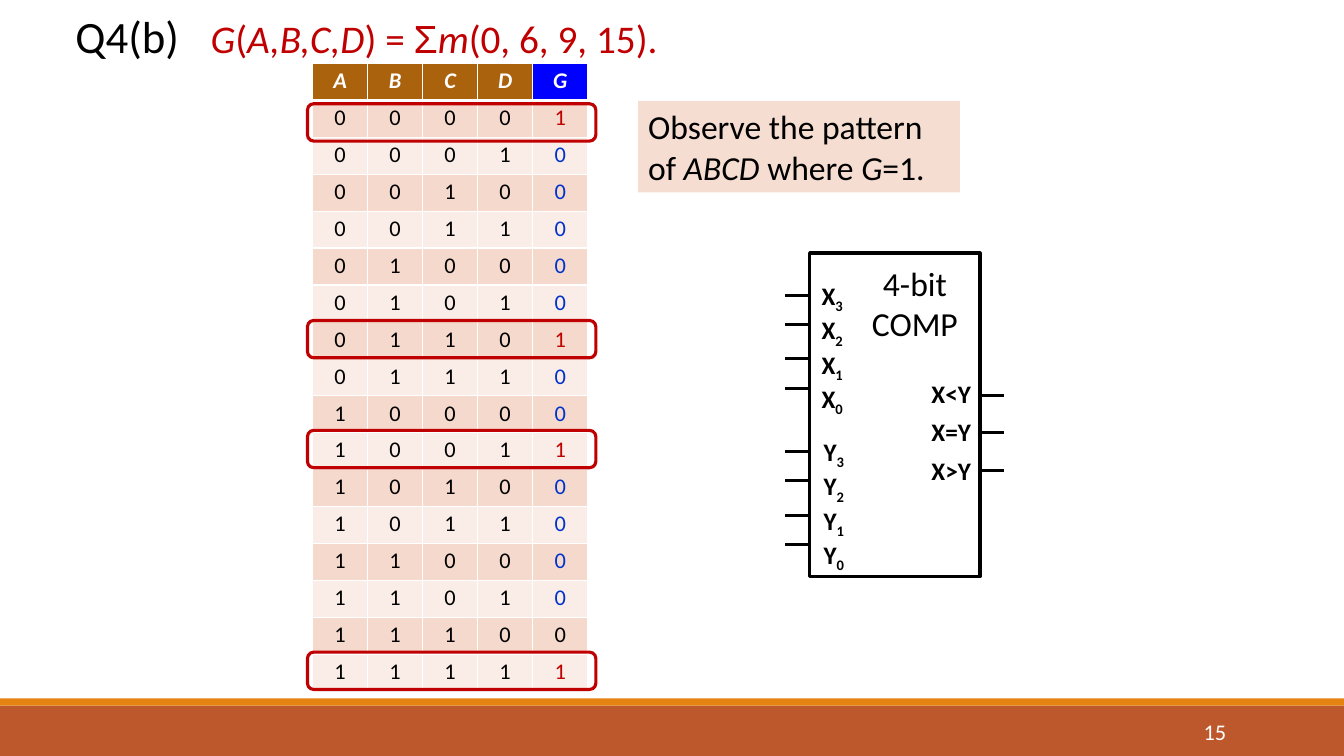
from dataclasses import dataclass

from lxml import etree
from pptx import Presentation
from pptx import util as u
from pptx.dml.color import RGBColor
from pptx.enum import shapes, text
from pptx.oxml import ns


@dataclass(frozen=True)
class Theme:
    font: str = "Calibri"
    symbol_font: str = "Arial"
    black: str = "000000"
    white: str = "FFFFFF"
    red: str = "C00000"
    blue: str = "0033CC"
    header: str = "AB620D"
    output_header: str = "0000FF"
    band_dark: str = "F5D9CC"
    band_light: str = "FAEDE7"
    note: str = "F5DDD2"
    footer: str = "BD582C"
    footer_edge: str = "E48312"
    title_size: int = 32
    formula_size: int = 28
    body_size: int = 24
    pin_size: int = 18
    small_size: int = 16
    stroke: float = 2.25


THEME = Theme()
MINTERMS = (0, 6, 9, 15)
VARIABLES = "ABCD"


def colour(value):
    return RGBColor.from_string(value)


def place(left, top, width, height):
    return [u.Inches(length) for length in (left, top, width, height)]


def style(span, size, ink=THEME.black, bold=False, italic=False, font=THEME.font):
    span.font.size = u.Pt(size)
    span.font.name = font
    span.font.bold = bold
    span.font.italic = italic
    span.font.color.rgb = colour(ink)


def write(frame, lines, size, ink=THEME.black, bold=False, align="LEFT", after=0):
    """Each line is a list of (words, mark); marks: i italic, s symbol, _ subscript."""
    frame.word_wrap = True
    for index, line in enumerate(lines):
        para = frame.add_paragraph() if index else frame.paragraphs[0]
        para.alignment = getattr(text.PP_ALIGN, align)
        para.space_after = u.Pt(after)
        for words, mark in line:
            span = para.add_run()
            span.text = words
            font = THEME.symbol_font if mark == "s" else THEME.font
            style(span, size, ink, bold, mark == "i", font)
            if mark == "_":
                span._r.get_or_add_rPr().set("baseline", "-25000")
    return frame


def add_text(parent, area, lines, size, **look):
    box = parent.add_textbox(*place(*area))
    return write(box.text_frame, lines, size, **look)


def add_box(parent, area, fill=None, line=None, kind="RECTANGLE"):
    box = parent.add_shape(getattr(shapes.MSO_SHAPE, kind), *place(*area))
    box.shadow.inherit = False
    if fill:
        box.fill.solid()
        box.fill.fore_color.rgb = colour(fill)
    else:
        box.fill.background()
    if line:
        box.line.color.rgb = colour(line)
        box.line.width = u.Pt(THEME.stroke)
    else:
        box.line.fill.background()
    return box


def add_pin(parent, left, right, top):
    pin = parent.add_connector(shapes.MSO_CONNECTOR.STRAIGHT, u.Inches(left),
                               u.Inches(top), u.Inches(right), u.Inches(top))
    pin.line.color.rgb = colour(THEME.black)
    pin.line.width = u.Pt(THEME.stroke)
    etree.SubElement(pin._element.spPr, ns.qn("a:effectLst"))


def set_borders(cell, bottom):
    properties = cell._tc.get_or_add_tcPr()
    for index, (side, width) in enumerate(zip("LRTB", (1, 1, 1, bottom))):
        edge = etree.Element(ns.qn(f"a:ln{side}"), w=str(u.Pt(width)))
        fill = etree.SubElement(edge, ns.qn("a:solidFill"))
        etree.SubElement(fill, ns.qn("a:srgbClr"), val=THEME.white)
        properties.insert(index, edge)


def fill_cell(cell, words, fill, ink, heading=False):
    cell.text_frame.text = words
    cell.margin_top = cell.margin_bottom = u.Inches(0.04)
    cell.fill.solid()
    cell.fill.fore_color.rgb = colour(fill)
    para = cell.text_frame.paragraphs[0]
    para.alignment = text.PP_ALIGN.CENTER
    style(para.runs[0], THEME.small_size, ink, heading, heading)
    set_borders(cell, 3 if heading else 1)


def output_ink(number):
    if number in MINTERMS:
        return THEME.red
    return THEME.black if number == 14 else THEME.blue


def add_truth_table(page):
    count = 2 ** len(VARIABLES)
    area = place(3.1, 0.63, 2.73, 6.23)
    table = page.shapes.add_table(count + 1, len(VARIABLES) + 1, *area).table
    for row in table.rows:
        row.height = int(area[3] / (count + 1))
    for column, name in enumerate(VARIABLES + "G"):
        fill = THEME.output_header if name == "G" else THEME.header
        fill_cell(table.cell(0, column), name, fill, THEME.white, heading=True)
    for number in range(count):
        fill = THEME.band_light if number % 2 else THEME.band_dark
        digits = f"{number:04b}{int(number in MINTERMS)}"
        for column, digit in enumerate(digits):
            is_output = column == len(VARIABLES)
            ink = output_ink(number) if is_output else THEME.black
            fill_cell(table.cell(number + 1, column), digit, fill, ink)
    # Outlines around the rows where G is 1
    for top in (1.03, 3.18, 4.27, 6.47):
        add_box(page.shapes, (3.05, top, 2.86, 0.37), line=THEME.red,
                kind="ROUNDED_RECTANGLE")


def add_comparator(page):
    parts = page.shapes.add_group_shape().shapes
    add_box(parts, (8.03, 2.51, 1.69, 3.21), line=THEME.black)
    # Inputs
    for name, left, top, height, first_pin in (("X", 8.05, 2.73, 1.51, 2.93),
                                               ("Y", 8.07, 4.28, 1.31, 4.48)):
        labels = [[(name, ""), (digit, "_")] for digit in "3210"]
        add_text(parts, (left, top, 0.57, height), labels, THEME.pin_size, bold=True)
        for offset in (0, 0.29, 0.63, 0.92):
            add_pin(parts, 7.79, 8.03, first_pin + offset)
    # Name and outputs
    add_text(parts, (8.31, 2.56, 1.53, 0.91), [[("4-bit", "")], [("COMP", "")]],
             THEME.body_size, align="CENTER")
    add_text(parts, (9.14, 3.7, 0.69, 1.18), [[(f"X{sign}Y", "")] for sign in "<=>"],
             THEME.pin_size, bold=True, after=6)
    for top in (3.92, 4.29, 4.67):
        add_pin(parts, 9.71, 9.96, top)


def main():
    deck = Presentation()
    deck.slide_width, deck.slide_height = u.Inches(13.33), u.Inches(7.5)
    page = deck.slides.add_slide(deck.slide_layouts[6])

    # Footer bands
    add_box(page.shapes, (0, 7, 13.33, 0.5), fill=THEME.footer)
    add_box(page.shapes, (0, 6.93, 13.33, 0.07), fill=THEME.footer_edge)

    # Heading and formula
    title = add_text(page.shapes, (0.65, 0.1, 1.33, 0.7), [[("Q4(b)", "")]],
                     THEME.title_size)
    title.paragraphs[0].line_spacing = 0.9
    formula = [("G", "i"), ("(", ""), ("A,B,C,D", "i"), (") = ", ""), ("Σ", "s"),
               ("m", "i"), ("(0, 6, 9, 15).", "")]
    add_text(page.shapes, (1.99, 0.09, 4.79, 0.57), [formula],
             THEME.formula_size, ink=THEME.red)

    add_comparator(page)
    add_truth_table(page)

    # Hint
    hint = [("Observe the pattern of ", ""), ("ABCD", "i"), (" where ", ""),
            ("G", "i"), ("=1.", "")]
    note = add_box(page.shapes, (6.33, 1, 3.19, 0.91), fill=THEME.note)
    write(note.text_frame, [hint], THEME.body_size)

    # Page number
    number = add_text(page.shapes, (10.83, 7.06, 1.43, 0.4), [[("15", "")]],
                      THEME.small_size, ink=THEME.white, align="RIGHT")
    number.vertical_anchor = text.MSO_ANCHOR.MIDDLE

    deck.save("out.pptx")


if __name__ == "__main__":
    main()
